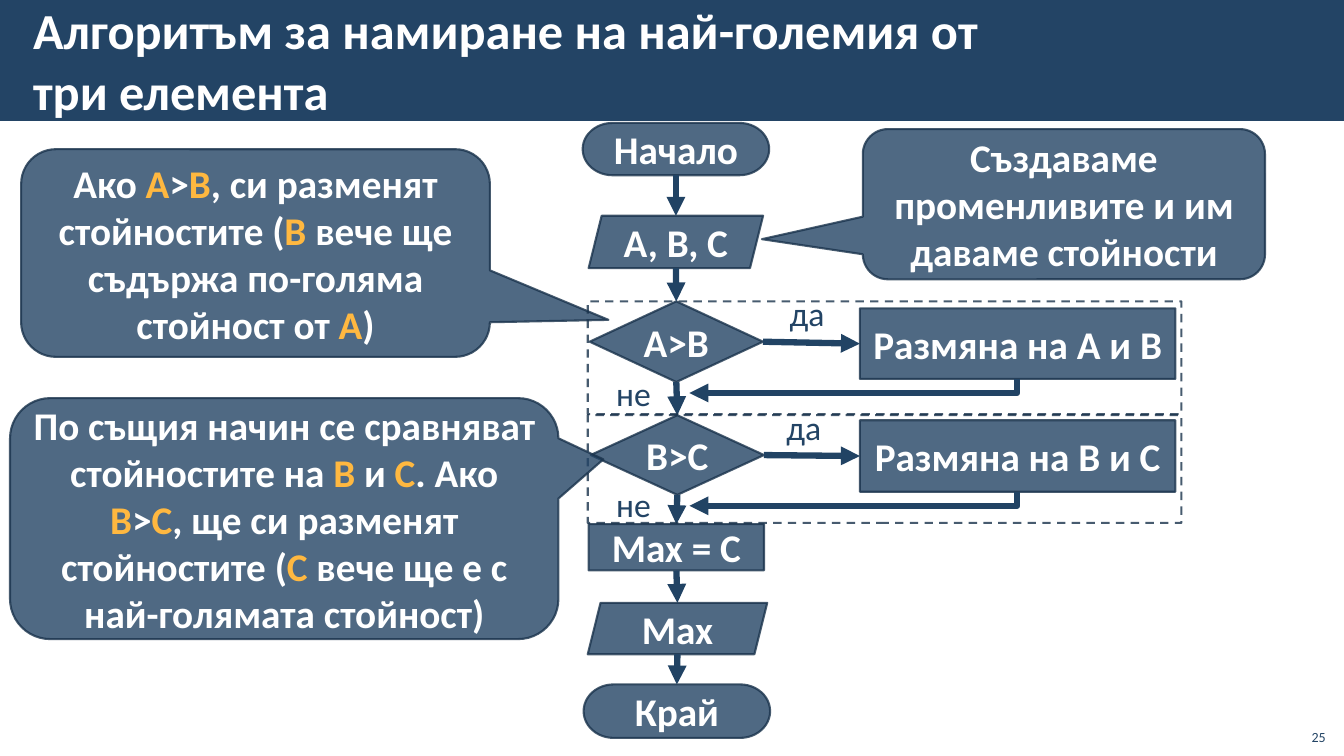
from lxml.etree import SubElement
from pptx import Presentation
from pptx.dml.color import RGBColor
from pptx.enum.dml import MSO_LINE
from pptx.enum.shapes import MSO_CONNECTOR, MSO_SHAPE
from pptx.enum.text import MSO_ANCHOR, PP_ALIGN
from pptx.oxml.ns import qn
from pptx.util import Pt

NAVY = RGBColor(0x23, 0x44, 0x65)
OUTLINE = RGBColor(0x1A, 0x33, 0x4C)
ARROW = RGBColor(0x21, 0x43, 0x64)
WHITE = RGBColor(0xFF, 0xFF, 0xFF)
GOLD = RGBColor(0xFF, 0xB8, 0x40)


class FlowSlide:
    font_name = "Calibri"
    opacity = "80000"

    def __init__(self, page):
        self.page = page

    def fill_text(self, shape, texts, size, colors, bold=False, align=PP_ALIGN.CENTER,
                  anchor=MSO_ANCHOR.MIDDLE, wrap=True, margins=(7.2, 3.6), spacing=None):
        frame = shape.text_frame
        frame.word_wrap = wrap
        frame.vertical_anchor = anchor
        frame.margin_left = frame.margin_right = Pt(margins[0])
        frame.margin_top = frame.margin_bottom = Pt(margins[1])
        para = frame.paragraphs[0]
        para.alignment = align
        para.line_spacing = spacing
        for index, text in enumerate(texts):
            span = para.add_run()
            span.text = text
            span.font.name = self.font_name
            span.font.size = Pt(size)
            span.font.bold = bold
            span.font.color.rgb = colors[index % len(colors)]

    def band(self, *place):
        shape = self.page.shapes.add_shape(MSO_SHAPE.RECTANGLE, *map(Pt, place))
        shape.shadow.inherit = False
        shape.fill.solid()
        shape.fill.fore_color.rgb = NAVY
        shape.line.fill.background()

    def text(self, place, text, size, color, **style):
        box = self.page.shapes.add_textbox(*map(Pt, place))
        self.fill_text(box, [text], size, [color], **style)

    def outlined(self, kind, place, filled):
        shape = self.page.shapes.add_shape(kind, *map(Pt, place))
        shape.shadow.inherit = False
        shape.line.color.rgb = OUTLINE
        shape.line.width = Pt(1.5)
        if filled:
            shape.fill.solid()
            shape.fill.fore_color.rgb = NAVY
        else:
            shape.fill.background()
        for color in shape._element.spPr.findall(".//" + qn("a:srgbClr")):
            SubElement(color, qn("a:alpha")).set("val", self.opacity)
        return shape

    def node(self, kind, place, texts, wrap=False):
        shape = self.outlined(kind, place, filled=True)
        self.fill_text(shape, texts, 28, [WHITE, GOLD], bold=True, wrap=wrap)
        return shape

    def callout(self, place, tip, texts):
        shape = self.node(MSO_SHAPE.ROUNDED_RECTANGULAR_CALLOUT, place, texts, wrap=True)
        for index, value in enumerate((*tip, 0.167)):
            shape.adjustments[index] = value

    def frame(self, *place):
        shape = self.outlined(MSO_SHAPE.RECTANGLE, place, filled=False)
        shape.line.dash_style = MSO_LINE.DASH

    def arrow(self, start, end, kind=MSO_CONNECTOR.STRAIGHT):
        line = self.page.shapes.add_connector(kind, *map(Pt, (*start, *end)))
        line.line.color.rgb = ARROW
        line.line.width = Pt(4.5)
        properties = line._element.spPr
        SubElement(properties.find(qn("a:ln")), qn("a:tailEnd")).set("type", "triangle")
        SubElement(properties, qn("a:effectLst"))
        return line

    def return_arrow(self, start, end):
        drop, run = end[1] - start[1], start[0] - end[0]
        center_x, center_y = (start[0] + end[0]) / 2, (start[1] + end[1]) / 2
        line = self.arrow((center_x - drop / 2, center_y - run / 2),
                          (center_x + drop / 2, center_y + run / 2),
                          MSO_CONNECTOR.ELBOW)
        properties = line._element.spPr
        properties.find(qn("a:prstGeom")).set("prst", "bentConnector2")
        properties.find(qn("a:xfrm")).set("rot", "5400000")


def main():
    deck = Presentation()
    deck.slide_width, deck.slide_height = Pt(960), Pt(540)
    page = deck.slides.add_slide(deck.slide_layouts[6])
    flow = FlowSlide(page)

    flow.band(0, 0, 960, 86.4)
    flow.text((15.1, 7.9, 753.1, 69.8), "Алгоритъм за намиране на най-голeмия от три елемента",
              36, WHITE, bold=True, align=PP_ALIGN.LEFT, margins=(8.6, 2.9))

    steps = [
        (MSO_SHAPE.FLOWCHART_TERMINATOR, (416.2, 87.8, 133.2, 37.4), "Начало"),
        (MSO_SHAPE.PARALLELOGRAM, (420.5, 154.1, 124.6, 37.4), "A, B, C"),
        (MSO_SHAPE.DIAMOND, (421.2, 215.3, 123.8, 57.6), "A>B"),
        (MSO_SHAPE.DIAMOND, (421.9, 296.6, 123.8, 56.9), "B>C"),
        (MSO_SHAPE.RECTANGLE, (420.5, 374.4, 125.3, 33.1), "Max = C"),
        (MSO_SHAPE.PARALLELOGRAM, (419.8, 430.6, 128.2, 36.7), "Max"),
        (MSO_SHAPE.FLOWCHART_TERMINATOR, (416.9, 488.9, 133.2, 38.2), "Край"),
    ]
    for kind, place, text in steps:
        flow.node(kind, place, [text])
    for (_, upper, _), (_, lower, _) in zip(steps, steps[1:]):
        flow.arrow((upper[0] + upper[2] / 2, upper[1] + upper[3]),
                   (lower[0] + lower[2] / 2, lower[1]))

    swaps = [
        (steps[2][1], 220.3, 50.4, "Размяна на A и B", (549.4, 198), 254.9),
        (steps[3][1], 300.2, 51.1, "Размяна на B и C", (547.2, 279.4), 334.1),
    ]
    for test, top, height, text, yes_place, no_top in swaps:
        flow.node(MSO_SHAPE.RECTANGLE, (614.2, top, 225.4, height), [text])
        flow.arrow((test[0] + test[2], test[1] + test[3] / 2), (614.2, top + height / 2))
        flow.return_arrow((726.5, top + height), (492.5, top + height + 10))
        for label, place in (("да", yes_place), ("не", (425.5, no_top))):
            flow.text((*place, 54, 49), label, 24, NAVY, anchor=MSO_ANCHOR.TOP,
                      margins=(11.5, 8.6), spacing=1.1)

    flow.callout((15.1, 106.6, 334.8, 148.3), (0.753, 0.322),
                 ["Ако ", "A", ">", "B", ", си разменят стойностите (", "B ",
                  "вече ще съдържа по-голяма стойност от ", "A", ")"])
    flow.frame(419.8, 215.3, 424.1, 80.6)
    flow.frame(419.8, 296.6, 424.1, 77)
    flow.callout((7.2, 284.4, 391.7, 172.1), (0.582, -0.246),
                 ["По същия начин се сравняват стойностите на ", "B ", "и ", "C", ". Ако ",
                  "B", ">", "C", ", ще си разменят стойностите (", "C ",
                  "вече ще е с най-голямата стойност)"])
    flow.callout((616.3, 92.2, 287.3, 107.3), (-0.751, 0.233),
                 ["Създаваме променливите и им даваме стойности"])
    flow.text((925.2, 512.6, 28.8, 23), "25", 10, NAVY,
              align=PP_ALIGN.RIGHT, anchor=MSO_ANCHOR.BOTTOM)

    deck.save("out.pptx")


if __name__ == "__main__":
    main()
